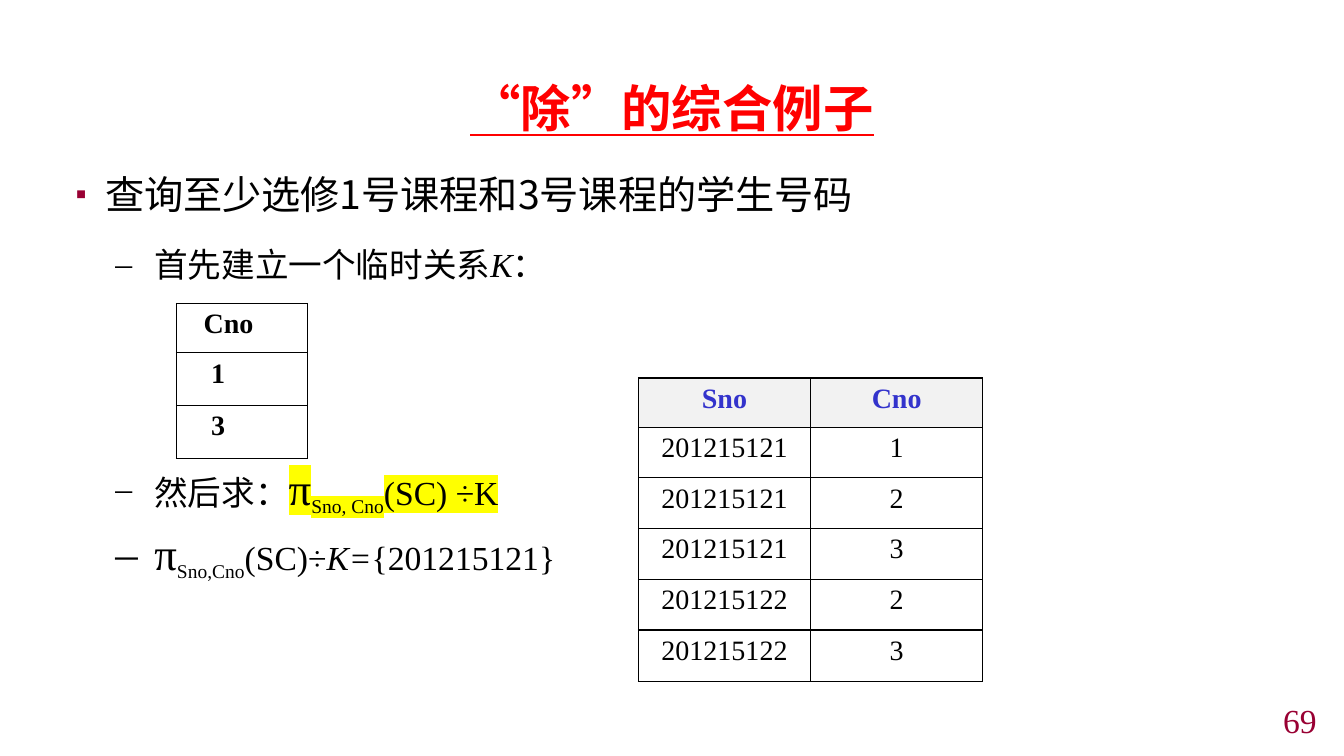
"""Build a slide that works through a relational division example with two tables."""
from dataclasses import dataclass

from lxml.etree import SubElement
from pptx import Presentation
from pptx.dml.color import RGBColor as Rgb
from pptx.enum.text import MSO_ANCHOR as Anchor
from pptx.enum.text import MSO_AUTO_SIZE as AutoSize
from pptx.enum.text import PP_ALIGN as Align
from pptx.oxml.ns import qn
from pptx.util import Emu, Pt


@dataclass(frozen=True)
class Theme:
    sans: str = "Noto Sans CJK SC"
    serif: str = "Times New Roman"
    ink: str = "000000"
    title: str = "FF0000"
    accent: str = "990033"
    header: str = "3333CC"
    header_fill: str = "F2F2F2"
    marker: str = "FFFF00"
    title_size: int = 36
    lead_size: int = 28
    pi_size: int = 32
    item_size: int = 24
    cell_size: int = 20


THEME = Theme()


@dataclass(frozen=True)
class Span:
    text: str
    size: int = THEME.item_size
    font: str = THEME.serif
    color: str = THEME.ink
    bold: bool = False
    italic: bool = False
    underline: bool = False
    baseline: int = 0
    highlight: str = ""


@dataclass(frozen=True)
class Item:
    spans: tuple[Span, ...]
    bullet: str = "–"
    margin: int = 75
    hanging: int = 37
    before: int = 0
    bullet_color: str = ""
    bullet_percent: int = 100


@dataclass(frozen=True)
class Grid:
    left: int
    top: int
    columns: tuple[int, ...]
    rows: tuple[int, ...]
    cells: tuple[tuple[str, ...], ...]
    align: Align
    insets: tuple[int, ...]
    header_color: str
    header_fill: str
    bold_body: bool


ITEMS = (
    Item((Span("查询至少选修1号课程和3号课程的学生号码", THEME.lead_size, THEME.sans),),
         "▪", 28, 28, bullet_color=THEME.accent, bullet_percent=80),
    Item((Span("首先建立一个临时关系"), Span("K", italic=True), Span("：")), before=19),
    Item((Span("然后求：", font=THEME.sans),
          Span("π", THEME.pi_size, highlight=THEME.marker),
          Span("Sno, Cno", baseline=-25, highlight=THEME.marker),
          Span("(SC) ÷K", highlight=THEME.marker)), before=126),
    Item((Span("π", THEME.pi_size), Span("Sno,Cno", baseline=-22), Span("(SC)÷"),
          Span("K=", italic=True), Span("{201215121}")), before=6),
)

GRIDS = (
    Grid(168, 289, (125,), (47, 50, 51), (("Cno",), ("1",), ("3",)),
         Align.LEFT, (26, 33, 33), THEME.ink, "", True),
    Grid(608, 360, (164, 164), (47, 48, 48, 49, 48, 49),
         (("Sno", "Cno"), ("201215121", "1"), ("201215121", "2"),
          ("201215121", "3"), ("201215122", "2"), ("201215122", "3")),
         Align.CENTER, (12,) * 6, THEME.header, THEME.header_fill, False),
)


def px(count: int) -> Emu:
    return Emu(count * 9525)


def add_span(para, span: Span) -> None:
    run = para.add_run()
    run.text = span.text
    font = run.font
    font.size = Pt(span.size)
    font.bold, font.italic, font.underline = span.bold, span.italic, span.underline
    font.color.rgb = Rgb.from_string(span.color)
    props = run._r.get_or_add_rPr()
    if span.baseline:
        props.set("baseline", str(span.baseline * 1000))
    if span.highlight:
        marker = SubElement(props, qn("a:highlight"))
        SubElement(marker, qn("a:srgbClr"), val=span.highlight)
    font.name = span.font
    SubElement(props, qn("a:ea"), typeface=THEME.sans)


def add_item(para, item: Item) -> None:
    props = para._p.get_or_add_pPr()
    props.set("marL", str(px(item.margin)))
    props.set("indent", str(-px(item.hanging)))
    if item.before:
        para.space_before = Pt(item.before)
    if item.bullet_color:
        SubElement(SubElement(props, qn("a:buClr")), qn("a:srgbClr"), val=item.bullet_color)
    SubElement(props, qn("a:buSzPct"), val=str(item.bullet_percent * 1000))
    SubElement(props, qn("a:buFont"), typeface=THEME.serif)
    SubElement(props, qn("a:buChar"), char=item.bullet)
    for span in item.spans:
        add_span(para, span)


def set_box(box, left: int, top: int, width: int, height: int, anchor: Anchor):
    box.left, box.top, box.width, box.height = map(px, (left, top, width, height))
    frame = box.text_frame
    frame.word_wrap = True
    frame.auto_size = AutoSize.NONE
    frame.vertical_anchor = anchor
    frame.margin_left = frame.margin_right = frame.margin_top = frame.margin_bottom = 0
    return frame


def add_box(page, left: int, top: int, width: int, height: int, anchor: Anchor):
    box = page.shapes.add_textbox(0, 0, 0, 0)
    return set_box(box, left, top, width, height, anchor)


def format_cell(cell, span: Span, align: Align, inset: int, fill: str) -> None:
    cell.margin_left, cell.margin_right = px(inset), px(12)
    cell.margin_top = cell.margin_bottom = px(5)
    props = cell._tc.get_or_add_tcPr()
    for side in ("a:lnL", "a:lnR", "a:lnT", "a:lnB"):
        line = SubElement(props, qn(side), w=str(Pt(1)))
        SubElement(SubElement(line, qn("a:solidFill")), qn("a:srgbClr"), val=THEME.ink)
    if fill:
        cell.fill.solid()
        cell.fill.fore_color.rgb = Rgb.from_string(fill)
    else:
        cell.fill.background()
    para = cell.text_frame.paragraphs[0]
    para.alignment = align
    add_span(para, span)


def add_grid(page, grid: Grid) -> None:
    table = page.shapes.add_table(
        len(grid.rows), len(grid.columns), px(grid.left), px(grid.top),
        px(sum(grid.columns)), px(sum(grid.rows))).table
    table.first_row = table.horz_banding = False
    for column, width in zip(table.columns, grid.columns):
        column.width = px(width)
    for index, (row, height) in enumerate(zip(table.rows, grid.rows)):
        row.height = px(height)
        header = index == 0
        for cell, text in zip(row.cells, grid.cells[index]):
            span = Span(text, THEME.cell_size, bold=header or grid.bold_body,
                        color=grid.header_color if header else THEME.ink)
            format_cell(cell, span, grid.align, grid.insets[index],
                        grid.header_fill if header else "")


def main() -> None:
    deck = Presentation()
    deck.slide_width, deck.slide_height = px(1280), px(720)
    page = deck.slides.add_slide(deck.slide_layouts[5])

    title = set_box(page.shapes.title, 62, 62, 1156, 80, Anchor.MIDDLE).paragraphs[0]
    title.alignment = Align.CENTER
    add_span(title, Span("“除”的综合例子", THEME.title_size, THEME.sans, THEME.title,
                         bold=True, underline=True))

    body = add_box(page, 72, 162, 1136, 420, Anchor.TOP)
    for index, item in enumerate(ITEMS):
        add_item(body.add_paragraph() if index else body.paragraphs[0], item)

    for grid in GRIDS:
        add_grid(page, grid)

    number = add_box(page, 992, 671, 262, 30, Anchor.MIDDLE).paragraphs[0]
    number.alignment = Align.RIGHT
    add_span(number, Span("69", color=THEME.accent))
    deck.save("out.pptx")


if __name__ == "__main__":
    main()
